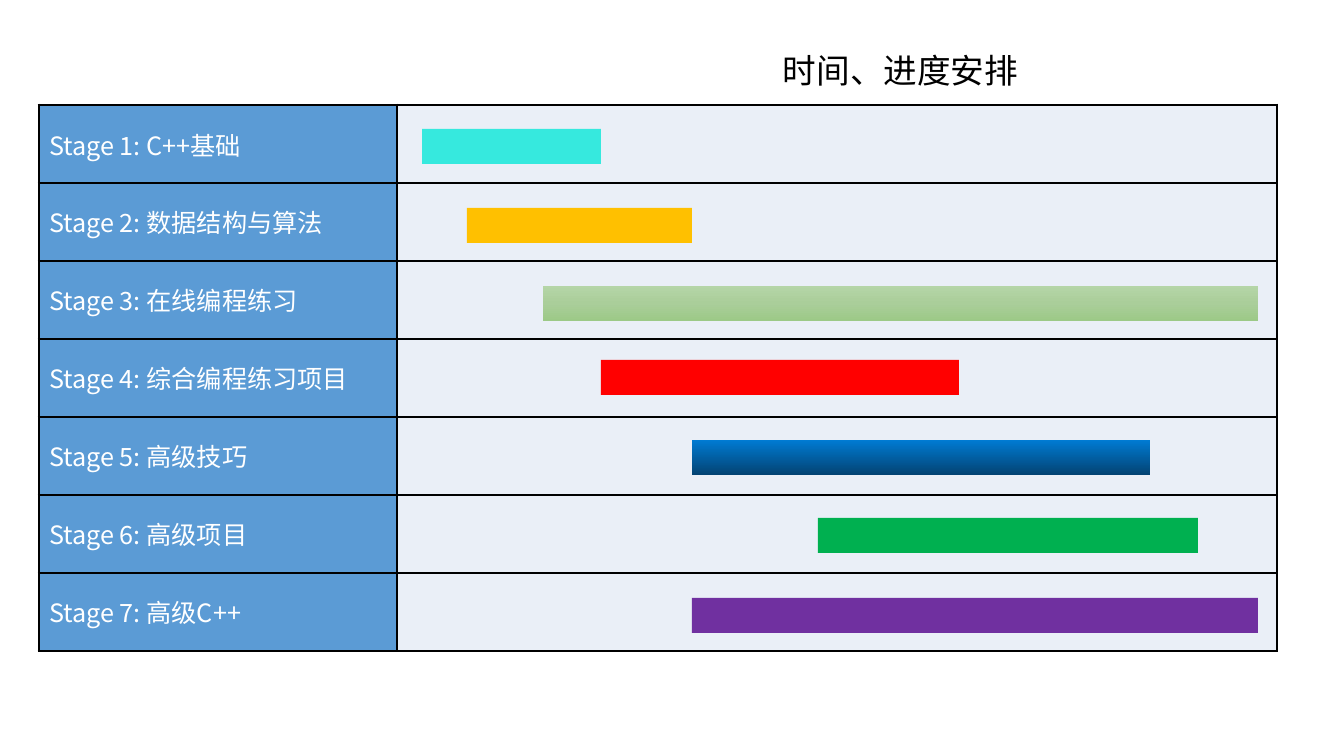
from copy import deepcopy

from lxml.etree import SubElement
from pptx import Presentation
from pptx.dml.color import RGBColor
from pptx.enum.shapes import MSO_SHAPE
from pptx.enum.text import MSO_ANCHOR, MSO_AUTO_SIZE, PP_ALIGN
from pptx.oxml.ns import qn
from pptx.util import Emu, Pt

SCALE = 914400 / 100.8
FONT = "Noto Sans CJK SC"
COLOURS = {
    "ink": "000000",
    "label_text": "FFFFFF",
    "label_fill": "5B9BD5",
    "track_fill": "EAEFF7",
    "turquoise": "36E9DE",
    "amber": "FFC000",
    "sage_light": "B5D5A7",
    "sage": "AACE9A",
    "sage_dark": "9CC987",
    "red": "FF0000",
    "blue_light": "007BD3",
    "blue_dark": "034373",
    "green": "00B050",
    "purple": "7030A0",
}
LABEL_WIDTH = 358
BAR_HEIGHT = 35
STAGES = [
    ("Stage 1: C++基础", 383, 179, 24, ["turquoise"]),
    ("Stage 2: 数据结构与算法", 428, 225, 25, ["amber"]),
    ("Stage 3: 在线编程练习", 504, 715, 25, ["sage_light", "sage", "sage_dark"]),
    ("Stage 4: 综合编程练习项目", 562, 358, 21, ["red"]),
    ("Stage 5: 高级技巧", 653, 458, 23, ["blue_light", "blue_dark"]),
    ("Stage 6: 高级项目", 779, 380, 23, ["green"]),
    ("Stage 7: 高级C++", 653, 566, 25, ["purple"]),
]


def px(length):
    return Emu(round(length * SCALE))


def colour(name):
    return RGBColor.from_string(COLOURS[name])


def add_text(para, text, size, colour_name):
    span = para.add_run()
    span.text = text
    span.font.name = FONT
    span.font.size = Pt(size)
    span.font.bold = False
    span.font.color.rgb = colour(colour_name)
    SubElement(span.font._element, qn("a:ea"), typeface=FONT)


def paint(fill, names):
    if len(names) == 1:
        fill.solid()
        fill.fore_color.rgb = colour(names[0])
        return
    fill.gradient()
    fill.gradient_angle = 270
    stop_list = fill._xPr.find(qn("a:gradFill")).find(qn("a:gsLst"))
    for _ in names[2:]:
        stop_list.append(deepcopy(stop_list[0]))
    for index, (stop, name) in enumerate(zip(fill.gradient_stops, names)):
        stop.position = index / (len(names) - 1)
        stop.color.rgb = colour(name)


def add_borders(cell):
    properties = cell._tc.get_or_add_tcPr()
    for side in ("lnL", "lnR", "lnT", "lnB"):
        line = SubElement(properties, qn(f"a:{side}"), w=str(Pt(2.25)))
        solid = SubElement(line, qn("a:solidFill"))
        SubElement(solid, qn("a:srgbClr"), val=COLOURS["ink"])


def place_title(page, box):
    title = page.shapes.title
    title.left, title.top, title.width, title.height = map(px, box)
    frame = title.text_frame
    frame.word_wrap = True
    frame.auto_size = MSO_AUTO_SIZE.NONE
    frame.margin_left = px(10)
    frame.margin_right = 0
    frame.vertical_anchor = MSO_ANCHOR.MIDDLE
    para = frame.paragraphs[0]
    para.alignment = PP_ALIGN.LEFT
    para.line_spacing = 1.0
    add_text(para, "时间、进度安排", 24, "ink")


def place_stage_table(page, box):
    left, top, width, height = box
    table = page.shapes.add_table(len(STAGES), 2, *map(px, box)).table
    table.first_row = False
    table.horz_banding = False
    table.columns[0].width = px(LABEL_WIDTH)
    table.columns[1].width = px(width - LABEL_WIDTH)
    for row, stage in zip(table.rows, STAGES):
        row.height = px(height / len(STAGES))
        for cell, fill_name in zip(row.cells, ("label_fill", "track_fill")):
            add_borders(cell)
            paint(cell.fill, [fill_name])
            cell.vertical_anchor = MSO_ANCHOR.MIDDLE
        add_text(row.cells[0].text_frame.paragraphs[0], stage[0], 18, "label_text")


def place_stage_bars(page, box):
    left, top, width, height = box
    row_height = height / len(STAGES)
    for index, (_, start, length, drop, names) in enumerate(STAGES):
        bar_top = top + index * row_height + drop
        bar = page.shapes.add_shape(
            MSO_SHAPE.RECTANGLE,
            px(left + start), px(bar_top), px(length), px(BAR_HEIGHT),
        )
        bar.shadow.inherit = False
        bar.line.fill.background()
        paint(bar.fill, names)


def build():
    deck = Presentation()
    deck.slide_width, deck.slide_height = px(1344), px(756)
    page = deck.slides.add_slide(deck.slide_layouts[5])
    schedule = (39, 105, 1238, 546)
    place_title(page, (773, 45, 265, 50))
    place_stage_table(page, schedule)
    place_stage_bars(page, schedule)
    deck.save("out.pptx")


build()
